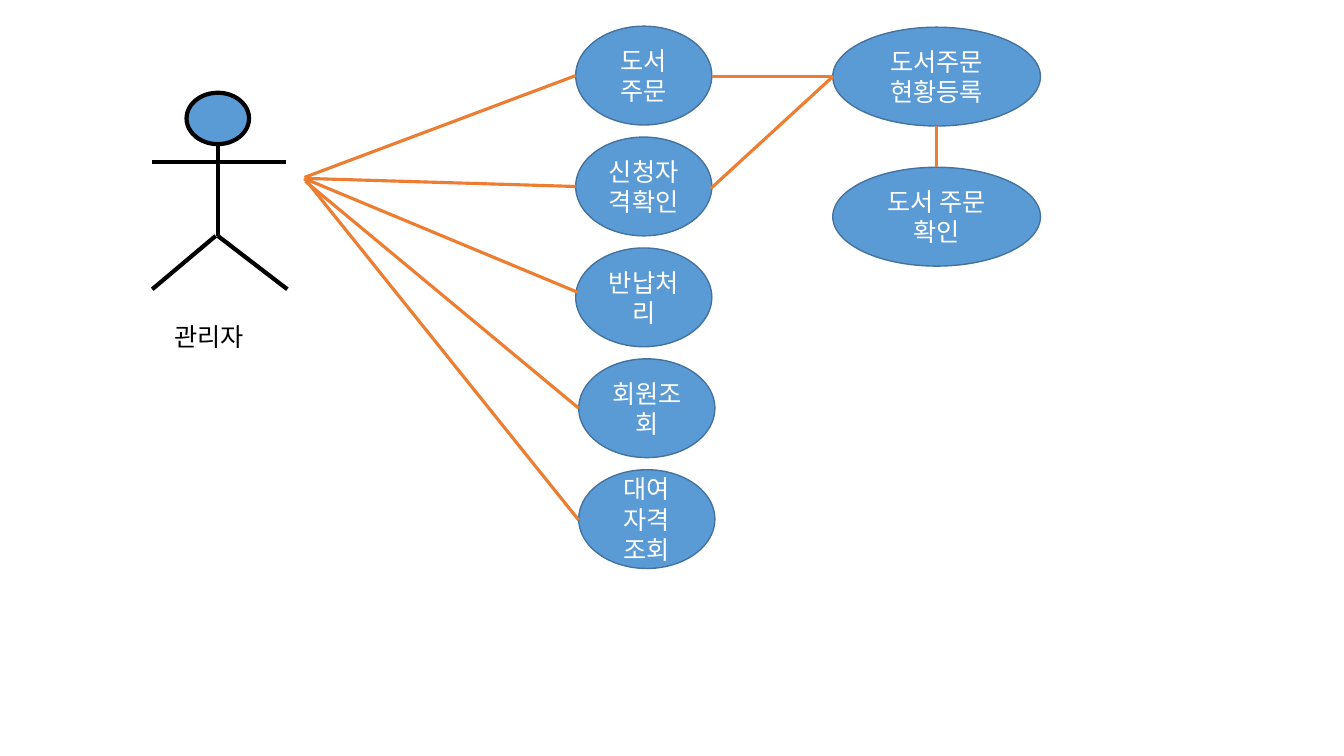
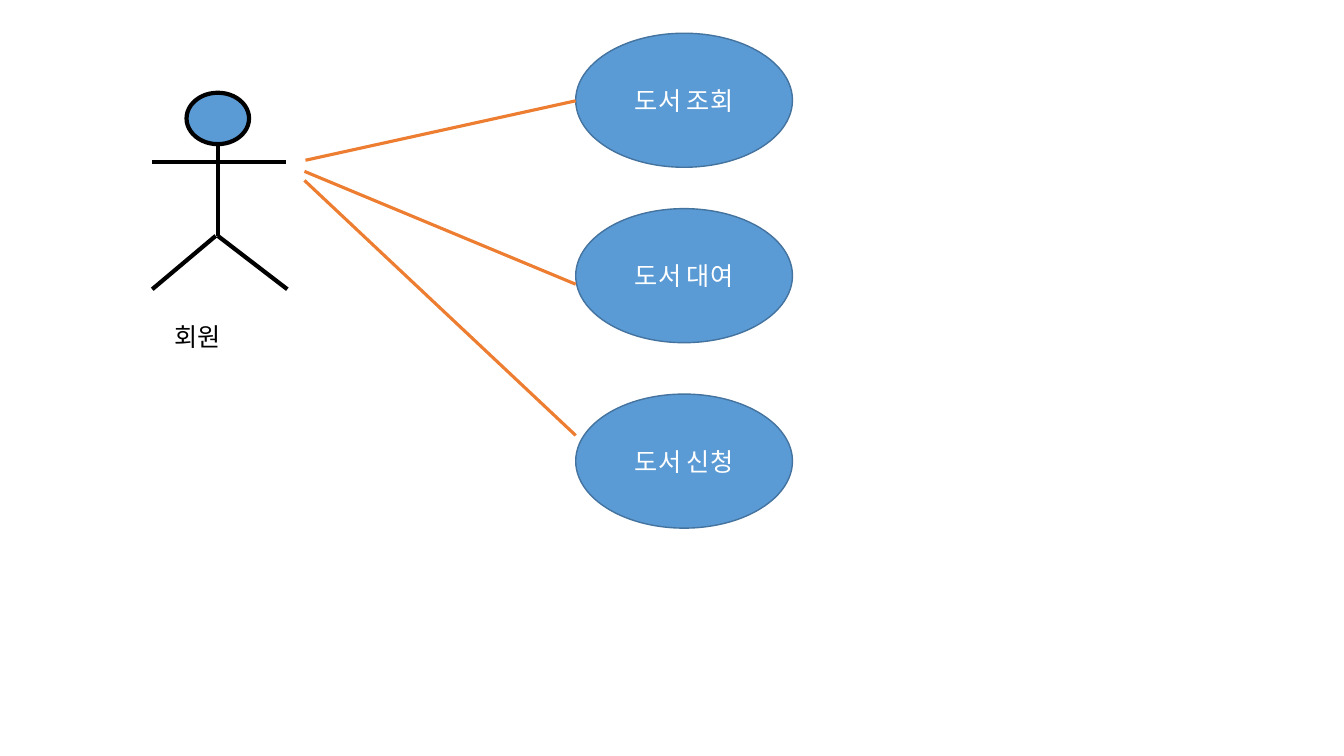
from lxml import etree
from pptx import Presentation
from pptx.dml.color import RGBColor
from pptx.enum.shapes import MSO_CONNECTOR, MSO_SHAPE
from pptx.enum.text import MSO_ANCHOR, MSO_AUTO_SIZE, PP_ALIGN
from pptx.oxml.ns import qn
from pptx.util import Inches, Pt

STRAIGHT = MSO_CONNECTOR.STRAIGHT
ELLIPSE = MSO_SHAPE.OVAL
MIDDLE = MSO_ANCHOR.MIDDLE
FIT_SHAPE = MSO_AUTO_SIZE.SHAPE_TO_FIT_TEXT
CENTER = PP_ALIGN.CENTER
LEFT = PP_ALIGN.LEFT

BLANK_LAYOUT = 6
FONT = "Noto Sans CJK KR"
COLORS = {
    "fill": "5B9BD5",
    "outline": "43739E",
    "link": "ED7D31",
    "black": "000000",
    "white": "FFFFFF",
}
FONT_FORMAT = {"name": FONT, "size": Pt(18)}
CASE_FRAME = {"word_wrap": True, "vertical_anchor": MIDDLE}
LABEL_FRAME = {"word_wrap": True, "auto_size": FIT_SHAPE}

LIMBS = [
    ((1.51, 1.61), (2.84, 1.61)),
    ((2.16, 1.43), (2.16, 2.34)),
    ((1.51, 2.87), (2.14, 2.34)),
    ((2.85, 2.87), (2.16, 2.34)),
]
TASK_SIZE = (1.35, 0.98)
TASK_TOP, TASK_STEP = 0.26, 1.1
TASKS = [
    (5.71, "도서 주문"),
    (5.71, "신청자격확인"),
    (5.71, "반납처리"),
    (5.74, "회원조회"),
    (5.74, "대여 자격 조회"),
]
ORDER_SIZE = (2.06, 0.98)
ORDERS = [
    ((8.26, 0.27), "도서주문 현황등록"),
    ((8.26, 1.66), "도서 주문\n확인"),
]
MANAGER_LINKS = [
    ((3.02, 1.76), (5.71, 0.75)),
    ((3.03, 1.77), (5.71, 1.85)),
    ((3.04, 1.78), (5.73, 2.9)),
    ((3.03, 1.8), (5.74, 4.05)),
    ((3.02, 1.77), (5.74, 5.16)),
    ((7.06, 0.76), (8.26, 0.76)),
    ((9.29, 1.25), (9.29, 1.66)),
    ((7.05, 1.87), (8.26, 0.76)),
]
SERVICE_SIZE = (2.15, 1.33)
SERVICES = [
    ((5.71, 0.33), "도서 조회"),
    ((5.71, 2.07), "도서 대여"),
    ((5.71, 3.91), "도서 신청"),
]
MEMBER_LINKS = [
    ((3.03, 1.59), (5.71, 1)),
    ((3.02, 1.7), (5.71, 2.82)),
    ((3.02, 1.79), (5.71, 4.32)),
]


def rgb(name):
    """Return the named colour."""
    return RGBColor.from_string(COLORS[name])


def apply_format(target, values):
    """Set every attribute in values on the target."""
    for name, value in values.items():
        setattr(target, name, value)


def set_line(shape, color, width):
    """Give a shape or connector a solid line."""
    shape.line.color.rgb = rgb(color)
    shape.line.width = Pt(width)


def write_text(shape, text, color, alignment, frame_format):
    """Write text with one paragraph for each line."""
    frame = shape.text_frame
    frame.text = text
    apply_format(frame, frame_format)
    for paragraph in frame.paragraphs:
        paragraph.alignment = alignment
        for run in paragraph.runs:
            apply_format(run.font, FONT_FORMAT)
            run.font.color.rgb = rgb(color)
            properties = run._r.get_or_add_rPr()
            etree.SubElement(properties, qn("a:ea"), typeface=FONT)


def add_ellipse(shapes, position, size, outline, width):
    """Add a blue ellipse with the given outline."""
    box = [Inches(value) for value in (*position, *size)]
    ellipse = shapes.add_shape(ELLIPSE, *box)
    ellipse.shadow.inherit = False
    ellipse.fill.solid()
    ellipse.fill.fore_color.rgb = rgb("fill")
    set_line(ellipse, outline, width)
    return ellipse


def add_line(shapes, start, end, color, width):
    """Add a straight connector between two points."""
    ends = [Inches(value) for value in (*start, *end)]
    connector = shapes.add_connector(STRAIGHT, *ends)
    set_line(connector, color, width)
    etree.SubElement(connector._element.spPr, qn("a:effectLst"))


def add_actor(slide, name):
    """Add a grouped stick figure and its name."""
    figure = slide.shapes.add_group_shape()
    add_ellipse(figure.shapes, (1.85, 0.92), (0.62, 0.51), "black", 3)
    for start, end in LIMBS:
        add_line(figure.shapes, start, end, "black", 3)
    label = slide.shapes.add_textbox(
        Inches(1.63), Inches(3.14), Inches(1.06), Inches(0.4)
    )
    write_text(label, name, "black", LEFT, LABEL_FRAME)


def add_use_cases(slide, cases, size):
    """Add labelled ellipses of one size."""
    for position, text in cases:
        ellipse = add_ellipse(slide.shapes, position, size, "outline", 1)
        write_text(ellipse, text, "white", CENTER, CASE_FRAME)


def add_diagram(presentation, actor, case_groups, links):
    """Add a slide with an actor, use cases and links."""
    layout = presentation.slide_layouts[BLANK_LAYOUT]
    slide = presentation.slides.add_slide(layout)
    for cases, size in case_groups:
        add_use_cases(slide, cases, size)
    add_actor(slide, actor)
    for start, end in links:
        add_line(slide.shapes, start, end, "link", 2.25)


def main():
    """Build and save the use case diagrams."""
    presentation = Presentation()
    presentation.slide_width = Inches(13.33)
    presentation.slide_height = Inches(7.5)
    tasks = [
        ((left, TASK_TOP + row * TASK_STEP), text)
        for row, (left, text) in enumerate(TASKS)
    ]
    manager_cases = [(tasks, TASK_SIZE), (ORDERS, ORDER_SIZE)]
    add_diagram(presentation, "관리자", manager_cases, MANAGER_LINKS)
    add_diagram(presentation, "회원", [(SERVICES, SERVICE_SIZE)], MEMBER_LINKS)
    presentation.save("out.pptx")


main()
